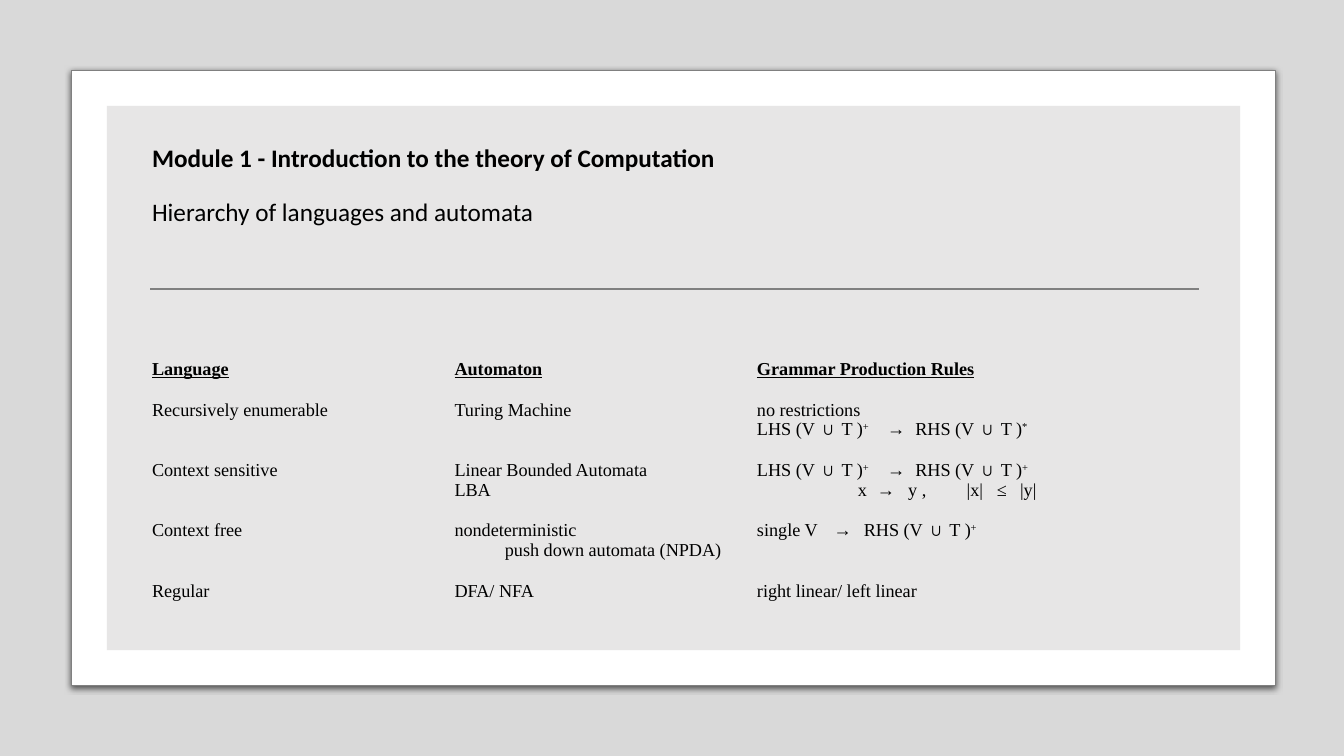
"""Build a slide on the hierarchy of languages and automata."""
from lxml import etree
from pptx import Presentation, util as u
from pptx.dml.color import RGBColor
from pptx.enum import shapes, text
from pptx.oxml import ns

WIDTH, HEIGHT = 13.33, 7.5
COLORS = {"ink": "000000", "backdrop": "000000", "frame": "FFFFFF",
          "panel": "E7E6E6", "rule": "808080"}
HEADING = [("Module 1 - Introduction to the theory of Computation", True, 0),
           ("Hierarchy of languages and automata", False, 19)]
LANGUAGE, AUTOMATON, GRAMMAR = 0, 3, 6
LEFT_SIDE, RIGHT_SIDE = "LHS (V ∪ T )^+", "RHS (V ∪ T )"
ARROW, PRODUCT = GRAMMAR + 1.29, GRAMMAR + 1.57
HEADER = [(LANGUAGE, "Language"), (AUTOMATON, "Automaton"), (GRAMMAR, "Grammar Production Rules")]
ROWS = [
    [[(LANGUAGE, "Recursively enumerable"), (AUTOMATON, "Turing Machine"),
      (GRAMMAR, "no restrictions")],
     [(GRAMMAR, LEFT_SIDE), (ARROW, "→"), (PRODUCT, RIGHT_SIDE + "^*")]],
    [[(LANGUAGE, "Context sensitive"), (AUTOMATON, "Linear Bounded Automata"),
      (GRAMMAR, LEFT_SIDE), (ARROW, "→"), (PRODUCT, RIGHT_SIDE + "^+")],
     [(AUTOMATON, "LBA"), (GRAMMAR + 1, "x"), (GRAMMAR + 1.19, "→"), (GRAMMAR + 1.5, "y ,"),
      (GRAMMAR + 2.08, "|x|"), (GRAMMAR + 2.38, "≤"), (GRAMMAR + 2.61, "|y|")]],
    [[(LANGUAGE, "Context free"), (AUTOMATON, "nondeterministic"),
      (GRAMMAR, "single V"), (GRAMMAR + 0.76, "→"), (GRAMMAR + 1.06, RIGHT_SIDE + "^+")],
     [(AUTOMATON + 0.5, "push down automata (NPDA)")]],
    [[(LANGUAGE, "Regular"), (AUTOMATON, "DFA/ NFA"), (GRAMMAR, "right linear/ left linear")]],
]
ROW_GAP = 15

presentation = Presentation()
presentation.slide_width, presentation.slide_height = u.Inches(WIDTH), u.Inches(HEIGHT)
slide = presentation.slides.add_slide(presentation.slide_layouts[6])


def color(name):
    return RGBColor.from_string(COLORS[name])


def add_child(parent, tag, **attributes):
    values = {key: str(value) for key, value in attributes.items()}
    return etree.SubElement(parent, ns.qn(tag), values)


def add_panel(kind, left, top, width, height, fill):
    shape = slide.shapes.add_shape(kind, *map(u.Inches, (left, top, width, height)))
    shape.shadow.inherit = False
    shape.fill.solid()
    shape.fill.fore_color.rgb = color(fill)
    shape.line.fill.background()
    return shape


def add_text_box(top, height):
    box = slide.shapes.add_textbox(*map(u.Inches, (1.41, top, 10.54, height)))
    box.text_frame.word_wrap = True
    box.text_frame.vertical_anchor = text.MSO_ANCHOR.TOP
    return box.text_frame


def add_paragraph(frame, before=0):
    first = frame.paragraphs[0]
    paragraph = frame.add_paragraph() if first.runs else first
    paragraph.line_spacing = 0.9
    paragraph.space_before = u.Pt(before)
    return paragraph


def add_run(paragraph, words, font="Times New Roman", size=13, bold=False,
            underline=False, raised=False):
    run = paragraph.add_run()
    run.text = words
    run.font.name, run.font.size = font, u.Pt(size)
    run.font.bold, run.font.underline = bold, underline
    run.font.color.rgb = color("ink")
    if raised:
        run.font._element.set("baseline", "30000")


def add_line(frame, cells, before=0, **style):
    paragraph = add_paragraph(frame, before)
    tab_list = add_child(paragraph._p.get_or_add_pPr(), "a:tabLst")
    for position, words in cells:
        if position:
            add_child(tab_list, "a:tab", pos=u.Inches(position), algn="l")
            add_run(paragraph, "\t")
        base, _, power = words.partition("^")
        add_run(paragraph, base, **style)
        if power:
            add_run(paragraph, power, raised=True, **style)


backdrop = add_panel(shapes.MSO_SHAPE.RECTANGLE, 0, 0, WIDTH, HEIGHT, "backdrop")
add_child(backdrop.fill._xPr.solidFill[0], "a:alpha", val=15000)

frame_shape = add_panel(shapes.MSO_SHAPE.ROUNDED_RECTANGLE, 0.71, 0.7, 11.94, 6.1, "frame")
frame_shape.adjustments[0] = 0
frame_shape.line.color.rgb = color("rule")
frame_shape.line.width = u.Pt(0.75)
effects = frame_shape._element.spPr.find(ns.qn("a:effectLst"))
shadow = add_child(effects, "a:outerShdw", blurRad=u.Pt(4.5), dist=u.Pt(1.5),
                   dir=5400000, rotWithShape=0)
add_child(add_child(shadow, "a:srgbClr", val=COLORS["ink"]), "a:alpha", val=63000)

add_panel(shapes.MSO_SHAPE.RECTANGLE, 1.06, 1.05, 11.24, 5.4, "panel")

title = add_text_box(1.4, 1.46)
for words, bold, before in HEADING:
    add_run(add_paragraph(title, before), words, font="Calibri", size=18, bold=bold)

rule = slide.shapes.add_connector(shapes.MSO_CONNECTOR.STRAIGHT,
                                  *map(u.Inches, (1.49, 2.87, 11.89, 2.87)))
rule.line.color.rgb = color("rule")
rule.line.width = u.Pt(1.5)
add_child(rule._element.spPr, "a:effectLst")

hierarchy = add_text_box(3.52, 2.57)
add_line(hierarchy, HEADER, bold=True, underline=True)
for row in ROWS:
    for number, cells in enumerate(row):
        add_line(hierarchy, cells, before=0 if number else ROW_GAP)

presentation.save("out.pptx")
